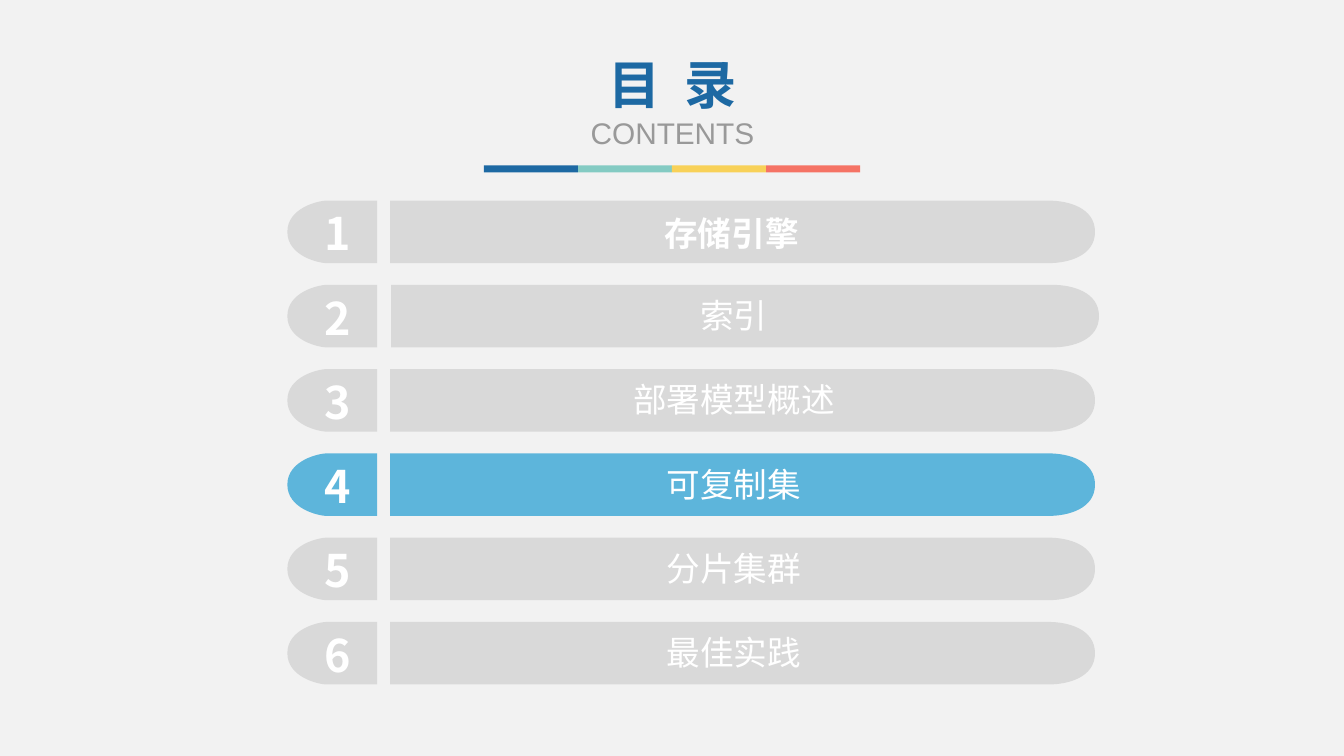
import pptx
import pptx.dml.color
import pptx.enum.shapes
import pptx.enum.text
import pptx.oxml
import pptx.oxml.ns
import pptx.util

Inches = pptx.util.Inches

COLORS = {
    "background": "F2F2F2",
    "blue": "1D69A3",
    "teal": "84CBC3",
    "yellow": "F8D158",
    "red": "F57365",
    "gray": "999999",
    "muted": "D9D9D9",
    "active": "5DB5DB",
    "white": "FFFFFF",
}
CHAPTER_FONT = "Noto Sans CJK SC"
HEADING = [
    ("目  录", 37.3, "Roboto Condensed", "blue", True),
    ("CONTENTS", 21.3, "Arial", "gray", False),
]
STRIPES = ["blue", "teal", "yellow", "red"]
CHAPTERS = [
    {"title": "存储引擎", "bold": True, "label": (3.93, 0.07, 6.65)},
    {"title": "索引", "bar": (3.88, 10.9), "label": (3.93, 0.05, 6.7)},
    {"title": "部署模型概述"},
    {"title": "可复制集", "color": "active"},
    {"title": "分片集群"},
    {"title": "最佳实践"},
]
FIRST_TOP, LAST_TOP = 1.99, 6.17
ROW_HEIGHT = 0.62
BADGE_FLAT, BADGE_SHOULDER, BADGE_TIP = 3.74, 3.24, 2.85
BAR_ENDS, BAR_CAP = (3.87, 10.86), 0.46
LABEL_BOX = (3.91, 0.05, 6.74)
STRIPE_LEFT, STRIPE_TOP, STRIPE_WIDTH, STRIPE_HEIGHT = 4.8, 1.64, 3.73, 0.07


def rgb(name):
    """Return the palette colour with the given name."""
    return pptx.dml.color.RGBColor.from_string(COLORS[name])


def paint(shape, color):
    """Give a shape a flat fill without line or shadow."""
    shape.fill.solid()
    shape.fill.fore_color.rgb = rgb(color)
    shape.line.fill.background()
    shape.shadow.inherit = False


def add_text(shapes, box, lines, wrap=True):
    """Add centred lines of text in a box."""
    shape = shapes.add_textbox(*[Inches(length) for length in box])
    frame = shape.text_frame
    frame.word_wrap = wrap
    frame.vertical_anchor = pptx.enum.text.MSO_ANCHOR.MIDDLE
    for index, (text, size, font_name, color, bold) in enumerate(lines):
        paragraph = frame.add_paragraph() if index else frame.paragraphs[0]
        paragraph.alignment = pptx.enum.text.PP_ALIGN.CENTER
        run = paragraph.add_run()
        run.text = text
        run.font.size = pptx.util.Pt(size)
        run.font.bold = bold
        run.font.color.rgb = rgb(color)
        run.font.name = font_name
        properties = run.font._element
        east_asian = properties.makeelement(pptx.oxml.ns.qn("a:ea"), {"typeface": font_name})
        properties.append(east_asian)


def bend_segments(shape, first):
    """Turn the line segments from the given index on into cubic curves."""
    segments = list(shape._element.iter(pptx.oxml.ns.qn("a:lnTo")))[first:]
    for start in range(0, len(segments), 3):
        triple = segments[start:start + 3]
        curve = triple[0].makeelement(pptx.oxml.ns.qn("a:cubicBezTo"), {})
        triple[0].addprevious(curve)
        for segment in triple:
            curve.append(segment[0])
            segment.getparent().remove(segment)


def add_rounded_end(shapes, top, flat, shoulder, tip, pull, color):
    """Add a strip with one flat end and one curved end."""
    bottom, middle = top + ROW_HEIGHT, top + ROW_HEIGHT / 2
    bend = shoulder + pull * (tip - shoulder)
    edges = [(flat, top), (flat, bottom), (shoulder, bottom)]
    curves = [
        (bend, bottom), (tip, bottom - 0.07), (tip, middle),
        (tip, top + 0.07), (bend, top), (shoulder, top),
    ]
    outline = [(Inches(x), Inches(y)) for x, y in edges + curves]
    builder = shapes.build_freeform(*outline[0])
    builder.add_line_segments(outline[1:], close=True)
    shape = builder.convert_to_shape()
    bend_segments(shape, len(edges) - 1)
    paint(shape, color)


def add_chapter(slide, index, chapter):
    """Add one numbered row of the contents."""
    shapes = slide.shapes.add_group_shape().shapes
    top = FIRST_TOP + index * (LAST_TOP - FIRST_TOP) / (len(CHAPTERS) - 1)
    color = chapter.get("color", "muted")
    flat, tip = chapter.get("bar", BAR_ENDS)
    add_rounded_end(shapes, top, flat, tip - BAR_CAP, tip, 0.42, color)
    add_rounded_end(shapes, top, BADGE_FLAT, BADGE_SHOULDER, BADGE_TIP, 0.2, color)
    number = (str(index + 1), 32, CHAPTER_FONT, "white", True)
    add_text(shapes, (3.11, top, 0.48, 0.64), [number], wrap=False)
    left, offset, width = chapter.get("label", LABEL_BOX)
    title = (chapter["title"], 24, CHAPTER_FONT, "white", chapter.get("bold", False))
    add_text(shapes, (left, top + offset, width, 0.5), [title])


def main():
    """Build the contents slide."""
    presentation = pptx.Presentation()
    presentation.slide_width = Inches(13.33)
    presentation.slide_height = Inches(7.5)
    slide = presentation.slides.add_slide(presentation.slide_layouts[6])
    slide.background.fill.solid()
    slide.background.fill.fore_color.rgb = rgb("background")

    stripes = slide.shapes.add_group_shape().shapes
    width = STRIPE_WIDTH / len(STRIPES)
    for index, color in enumerate(STRIPES):
        stripe = stripes.add_shape(
            pptx.enum.shapes.MSO_SHAPE.RECTANGLE,
            Inches(STRIPE_LEFT + index * width), Inches(STRIPE_TOP),
            Inches(width), Inches(STRIPE_HEIGHT),
        )
        paint(stripe, color)

    add_text(slide.shapes, (5.59, 0.46, 2.16, 1.09), HEADING)
    for index, chapter in enumerate(CHAPTERS):
        add_chapter(slide, index, chapter)
    presentation.save("out.pptx")


if __name__ == "__main__":
    main()
